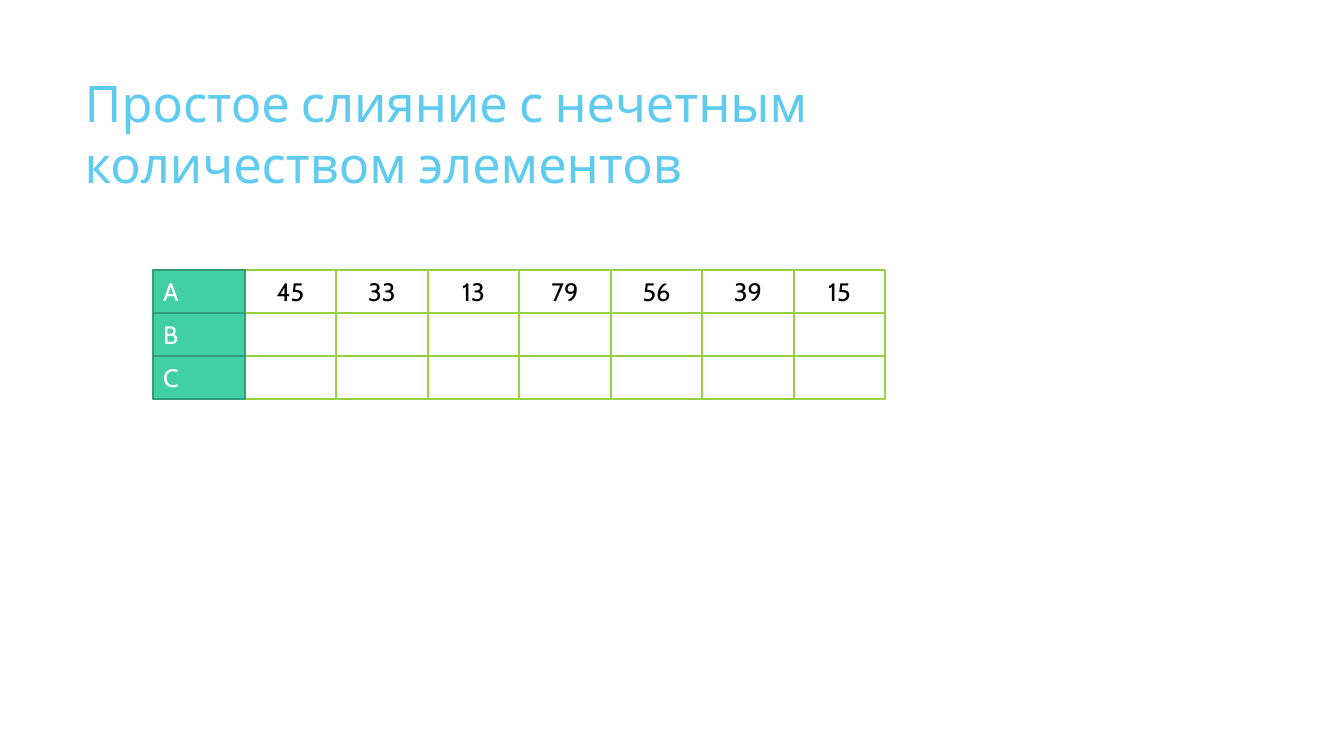
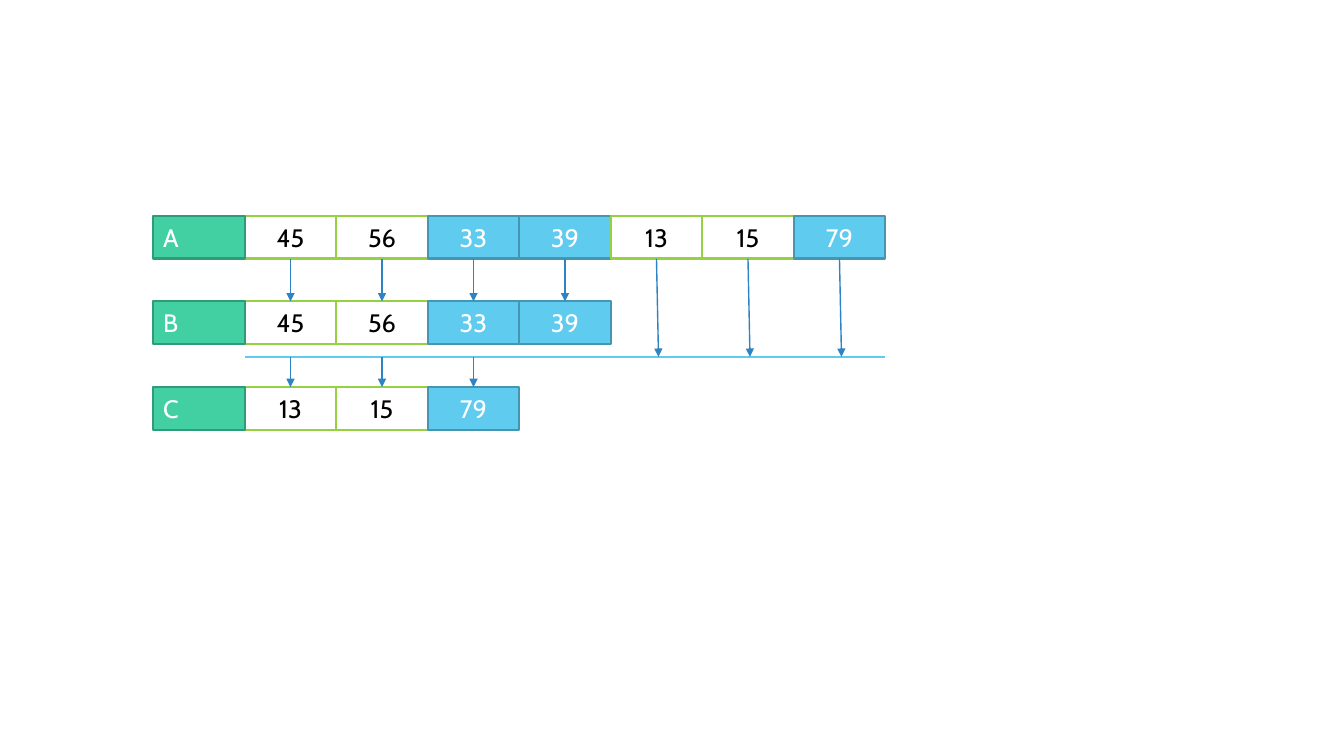
from lxml.etree import SubElement
from pptx import Presentation
from pptx.dml.color import RGBColor
from pptx.enum.shapes import MSO_CONNECTOR, MSO_SHAPE
from pptx.enum.text import MSO_ANCHOR, MSO_AUTO_SIZE, PP_ALIGN
from pptx.oxml.ns import qn
from pptx.util import Inches, Pt

COLORS = {
    "sky": "5FCBEF",
    "sky_edge": "4696B1",
    "mint": "42D0A2",
    "mint_edge": "319A78",
    "lime": "96D141",
    "arrow": "2E83C3",
    "white": "FFFFFF",
    "black": "000000",
}
RGB = {name: RGBColor.from_string(value) for name, value in COLORS.items()}
STYLES = {
    "label": ("mint", "mint_edge", "white", PP_ALIGN.LEFT),
    "plain": ("white", "lime", "black", PP_ALIGN.CENTER),
    "marked": ("sky", "sky_edge", "white", PP_ALIGN.CENTER),
}
LEFT, RIGHT = 1.52, 8.78
COL = (RIGHT - LEFT) / 8
ROW = 0.85 / 2


def write(tf, text, size=18, color="black", align=PP_ALIGN.LEFT, anchor=MSO_ANCHOR.MIDDLE):
    tf.word_wrap = True
    tf.auto_size = MSO_AUTO_SIZE.NONE
    tf.vertical_anchor = anchor
    p = tf.paragraphs[0]
    p.alignment = align
    r = p.add_run()
    r.text = text
    r.font.name = "Cabin"
    r.font.size = Pt(size)
    r.font.color.rgb = RGB[color]


def connect(s, x1, y1, x2, y2, color="arrow", head=True):
    line = s.shapes.add_connector(
        MSO_CONNECTOR.STRAIGHT, Inches(x1), Inches(y1), Inches(x2), Inches(y2))
    line.line.color.rgb = RGB[color]
    line.line.width = Pt(1)
    if head:
        SubElement(line.line._get_or_add_ln(), qn("a:tailEnd"), type="triangle")
    SubElement(line._element.spPr, qn("a:effectLst"))


prs = Presentation()
prs.slide_width, prs.slide_height = Inches(13.33), Inches(7.5)
start = prs.slides.add_slide(prs.slide_layouts[5])
split = prs.slides.add_slide(prs.slide_layouts[6])

title = start.shapes.title
title.left, title.top, title.width, title.height = (Inches(v) for v in (0.74, 0.67, 9.4, 1.44))
write(title.text_frame, "Простое слияние с нечетным количеством элементов",
      size=36, color="sky", anchor=MSO_ANCHOR.TOP)

START_TOP, SPLIT_TOP = 2.68, 2.14
grids = [
    (start, START_TOP, ROW, set(), {
        "A": ["45", "33", "13", "79", "56", "39", "15"],
        "B": [""] * 7,
        "C": [""] * 7,
    }),
    (split, SPLIT_TOP, 2 * ROW, {"33", "39", "79"}, {
        "A": ["45", "56", "33", "39", "13", "15", "79"],
        "B": ["45", "56", "33", "39"],
        "C": ["13", "15", "79"],
    }),
]

for s, top, step, marked, rows in grids:
    for i, (label, values) in enumerate(rows.items()):
        cells = [(col, text, "marked" if text in marked else "plain")
                 for col, text in enumerate(values, 1)]
        for col, text, style in cells + [(0, label, "label")]:
            fill, edge, color, align = STYLES[style]
            sp = s.shapes.add_shape(
                MSO_SHAPE.RECTANGLE, Inches(LEFT + col * COL), Inches(top + i * step),
                Inches(COL), Inches(ROW))
            sp.shadow.inherit = False
            sp.fill.solid()
            sp.fill.fore_color.rgb = RGB[fill]
            sp.line.color.rgb = RGB[edge]
            sp.line.width = Pt(1.5)
            if text:
                write(sp.text_frame, text, color=color, align=align)

a_bottom = SPLIT_TOP + ROW
b_top = SPLIT_TOP + 2 * ROW
c_top = SPLIT_TOP + 4 * ROW
divider = 3.54
connect(split, RIGHT, divider, LEFT + COL, divider, color="sky", head=False)

arrows = [
    (range(1, 5), a_bottom, b_top, 0),
    (range(5, 8), a_bottom, divider, 0.02),
    (range(1, 4), divider, c_top, 0),
]
for cols, y1, y2, lean in arrows:
    for col in cols:
        x = LEFT + (col + 0.5) * COL
        connect(split, x, y1, x + lean, y2)

prs.save("out.pptx")
